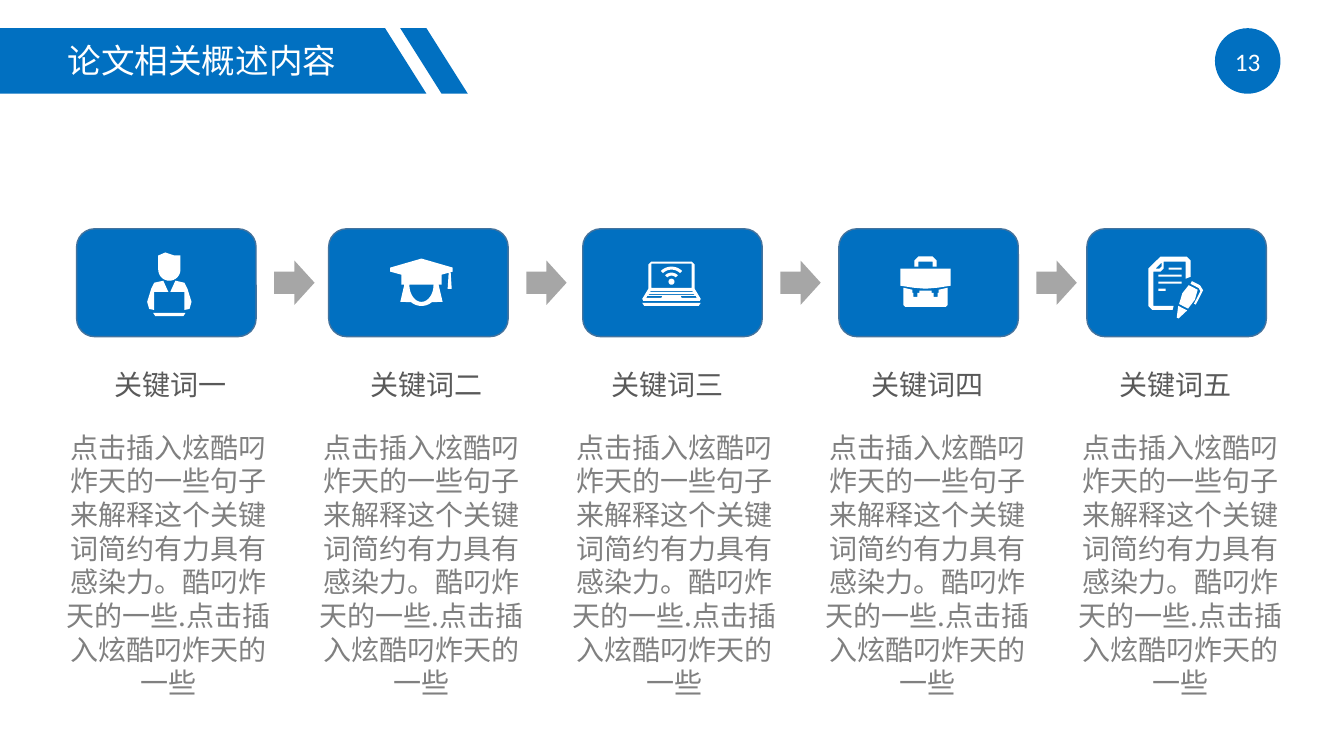
import math

from lxml import etree
from pptx import Presentation, util as u
from pptx.dml.color import RGBColor
from pptx.enum import shapes, text
from pptx.oxml import ns

BLUE, WHITE, ARROW_GRAY = "0170C1", "FFFFFF", "A6A6A6"
CARD_LINE, LABEL_GRAY, BODY_GRAY = "43739E", "595959", "808080"
JP, SC = "Noto Sans CJK JP", "Noto Sans CJK SC"
LEFT, CENTER = text.PP_ALIGN.LEFT, text.PP_ALIGN.CENTER

heading = "论文相关概述内容"
page_number = "13"
description = ("点击插入炫酷叼炸天的一些句子来解释这个关键词简约有力具有感染力。"
               "酷叼炸天的一些.点击插入炫酷叼炸天的一些")
keywords = [
    ("关键词一", "person", 0.76, 1.68, 1.04, LEFT),
    ("关键词二", "graduation cap", 3.26, 4.18, 3.5, CENTER),
    ("关键词三", "laptop", 5.78, 6.66, 5.89, CENTER),
    ("关键词四", "briefcase", 8.32, 9.18, 8.47, CENTER),
    ("关键词五", "paper and pen", 10.78, 11.67, 10.93, CENTER),
]
BANNER_TOP, BANNER_HEIGHT, BANNER_SLANT = 0.28, 0.65, 0.41
CARD_TOP, CARD_WIDTH, CARD_HEIGHT = 2.27, 1.78, 1.07
ARROW_GAP, ARROW_WIDTH, ARROW_HEIGHT = 0.18, 0.4, 0.44
BODY_LEFT, BODY_STEP = 0.52, 2.51
MIDDLE = CARD_TOP + CARD_HEIGHT / 2


def flip(outline):
    return [(-x, y) for x, y in outline]


def mirror(*right_half):
    return [*right_half, *reversed(flip(right_half))]


def slab(top, top_half, bottom, bottom_half):
    return mirror((top_half, top), (bottom_half, bottom))


def box(left, top, width, height):
    right, bottom = left + width, top + height
    return [(left, top), (right, top), (right, bottom), (left, bottom)]


def arc(center_y, radius_x, radius_y, start, end, steps=16):
    angles = [math.radians(start + (end - start) * i / steps) for i in range(steps + 1)]
    return [(radius_x * math.cos(a), center_y + radius_y * math.sin(a)) for a in angles]


def move(outline, x, y, degrees=0):
    cos, sin = math.cos(math.radians(degrees)), math.sin(math.radians(degrees))
    return [(x + px * cos - py * sin, y + px * sin + py * cos) for px, py in outline]


def person():
    hair = [(-0.11, -0.27), (-0.04, -0.3), (0.05, -0.27), (0.11, -0.27)]
    head = hair + arc(-0.13, 0.11, 0.11, 0, 180)
    arm = [(0.06, -0.02), (0.15, 0), (0.18, 0.06), (0.22, 0.19),
           (0.2, 0.26), (0.15, 0.27), (0.15, 0.09), (0.01, 0.09)]
    desk = slab(0.3, 0.16, 0.33, 0.14)
    return [head, arm, flip(arm), desk]


def graduation_cap():
    chin = arc(0.07, 0.16, 0.16, 50, 90)
    cap = mirror((0, -0.24), (0.31, -0.15), (0.31, -0.11), (0.2, -0.08),
                 (0.2, 0.02), (0.17, 0.02), (0.21, 0.19), *chin)
    face = arc(0.02, 0.12, 0.17, 0, 180)
    tassel = move(slab(-0.1, 0.01, 0.06, 0.02), 0.28, 0)
    return [cap, face, tassel]


def laptop():
    case = mirror((0, -0.21), (0.2, -0.21), (0.23, -0.18), (0.23, 0.06), (0.29, 0.16), (0.28, 0.18))
    screen = box(-0.2, -0.19, 0.4, 0.24)
    waves = [arc(-0.01, outer, outer, 225, 315) + arc(-0.01, inner, inner, 315, 225)
             for outer, inner in ((0.15, 0.12), (0.09, 0.06))]
    dot = arc(-0.01, 0.03, 0.03, 0, 360)
    key_rows = [slab(0.08, 0.2, 0.09, 0.22), slab(0.11, 0.22, 0.12, 0.23)]
    side_keys = [(0.09, 0.13), (0.24, 0.13), (0.25, 0.15), (0.1, 0.15)]
    foot = slab(0.2, 0.29, 0.23, 0.27)
    return [case, screen, *waves, dot, *key_rows, side_keys, flip(side_keys), foot]


def briefcase():
    handle = mirror((0, -0.26), (0.07, -0.26), (0.11, -0.22), (0.11, -0.16),
                    (0.07, -0.16), (0.07, -0.21))
    flap = mirror((0.25, -0.14), (0.25, 0.03), (0.12, 0.05), (0, 0.06))
    clasp = [(0.06, 0.08), (0.06, 0.1), (0.08, 0.1), (0.08, 0.14),
             (0.12, 0.14), (0.12, 0.1), (0.13, 0.1), (0.13, 0.07)]
    pouch = mirror(*clasp, (0.22, 0.05), (0.22, 0.22), (0.2, 0.24))
    return [handle, flap, pouch]


def paper_and_pen():
    outer_edge = [(-0.04, 0.27), (-0.24, 0.27), (-0.28, 0.23), (-0.28, -0.14),
                  (-0.16, -0.26), (0.1, -0.26), (0.14, -0.22), (0.14, -0.06)]
    inner_edge = [(0.09, -0.04), (0.09, -0.21), (-0.13, -0.21), (-0.13, -0.14),
                  (-0.16, -0.11), (-0.23, -0.11), (-0.23, 0.23), (-0.03, 0.23)]
    fold = [(-0.21, -0.14), (-0.17, -0.14), (-0.15, -0.16), (-0.15, -0.2)]
    line_spans = [(-0.08, 0.13), (-0.18, 0.23), (-0.18, 0.23), (-0.18, 0.07)]
    lines = [box(left, -0.15 + 0.07 * row, width, 0.02)
             for row, (left, width) in enumerate(line_spans)]
    nib = slab(-0.11, 0.05, 0, 0.01)
    barrel = mirror((0.05, -0.34), (0.07, -0.24), (0.05, -0.13))
    clip = [(-0.04, -0.39), (0.05, -0.39), (0.1, -0.36), (0.1, -0.2),
            (0.08, -0.2), (0.08, -0.34), (0.05, -0.36), (-0.04, -0.36)]
    pen = [move(part, 0.01, 0.35, degrees=27) for part in (nib, barrel, clip)]
    return [outer_edge + inner_edge, fold, *lines, *pen]


icons = {"person": person, "graduation cap": graduation_cap, "laptop": laptop,
         "briefcase": briefcase, "paper and pen": paper_and_pen}

prs = Presentation()
prs.slide_width, prs.slide_height = u.Inches(13.33), u.Inches(7.5)
slide = prs.slides.add_slide(prs.slide_layouts[5])


def rgb(color):
    return RGBColor.from_string(color)


def paint(shape, fill, line=None):
    shape.shadow.inherit = False
    shape.fill.solid()
    shape.fill.fore_color.rgb = rgb(fill)
    if line:
        shape.line.color.rgb = rgb(line)
        shape.line.width = u.Pt(1)
    else:
        shape.line.fill.background()


def add_preset(kind, area, fill, line=None):
    paint(slide.shapes.add_shape(kind, *map(u.Inches, area)), fill, line)


def add_outlines(outlines, fill, x=0, y=0):
    builder = slide.shapes.build_freeform()
    for outline in outlines:
        start, *rest = [(u.Inches(px), u.Inches(py)) for px, py in move(outline, x, y)]
        builder.move_to(*start)
        builder.add_line_segments(rest, close=True)
    paint(builder.convert_to_shape(), fill)


def add_banner_part(top_left, top_right, bottom_left):
    bottom, bottom_right = BANNER_TOP + BANNER_HEIGHT, top_right + BANNER_SLANT
    add_outlines([[(top_left, BANNER_TOP), (top_right, BANNER_TOP),
                   (bottom_right, bottom), (bottom_left, bottom)]], BLUE)


def write(words, area, size, color, font=JP, align=LEFT, holder=None):
    holder = holder or slide.shapes.add_textbox(0, 0, 0, 0)
    holder.left, holder.top, holder.width, holder.height = map(u.Inches, area)
    frame = holder.text_frame
    frame.word_wrap = True
    frame.auto_size = text.MSO_AUTO_SIZE.SHAPE_TO_FIT_TEXT
    frame.vertical_anchor = text.MSO_ANCHOR.TOP
    paragraph = frame.paragraphs[0]
    paragraph.alignment = align
    run = paragraph.add_run()
    run.text = words
    run.font.size = u.Pt(size)
    run.font.color.rgb = rgb(color)
    run.font.name = font
    east_asian = etree.SubElement(run._r.get_or_add_rPr(), ns.qn("a:ea"))
    east_asian.set("typeface", font)


add_banner_part(0, 3.82, 0)
add_banner_part(3.97, 4.23, 3.97 + BANNER_SLANT)
add_preset(shapes.MSO_SHAPE.OVAL, (12.05, BANNER_TOP, BANNER_HEIGHT, BANNER_HEIGHT), BLUE)
title = slide.shapes.title
slide.shapes._spTree.append(title._element)
write(heading, (0.57, 0.35, 3.47, 0.5), 24, WHITE, holder=title)
write(page_number, (12.15, 0.41, 0.48, 0.4), 18, WHITE, font="Calibri")

for index, (keyword, icon, card_left, icon_center, label_left, label_align) in enumerate(keywords):
    card = (card_left, CARD_TOP, CARD_WIDTH, CARD_HEIGHT)
    add_preset(shapes.MSO_SHAPE.ROUNDED_RECTANGLE, card, BLUE, CARD_LINE)
    if index < len(keywords) - 1:
        arrow = (card_left + CARD_WIDTH + ARROW_GAP, MIDDLE - ARROW_HEIGHT / 2, ARROW_WIDTH, ARROW_HEIGHT)
        add_preset(shapes.MSO_SHAPE.RIGHT_ARROW, arrow, ARROW_GRAY)
    add_outlines(icons[icon](), WHITE, icon_center, MIDDLE)
    write(description, (BODY_LEFT + BODY_STEP * index, 4.22, 2.3, 2.79), 20, BODY_GRAY, font=SC, align=CENTER)
    write(keyword, (label_left, 3.6, 1.46, 0.44), 20, LABEL_GRAY, align=label_align)

prs.save("out.pptx")
